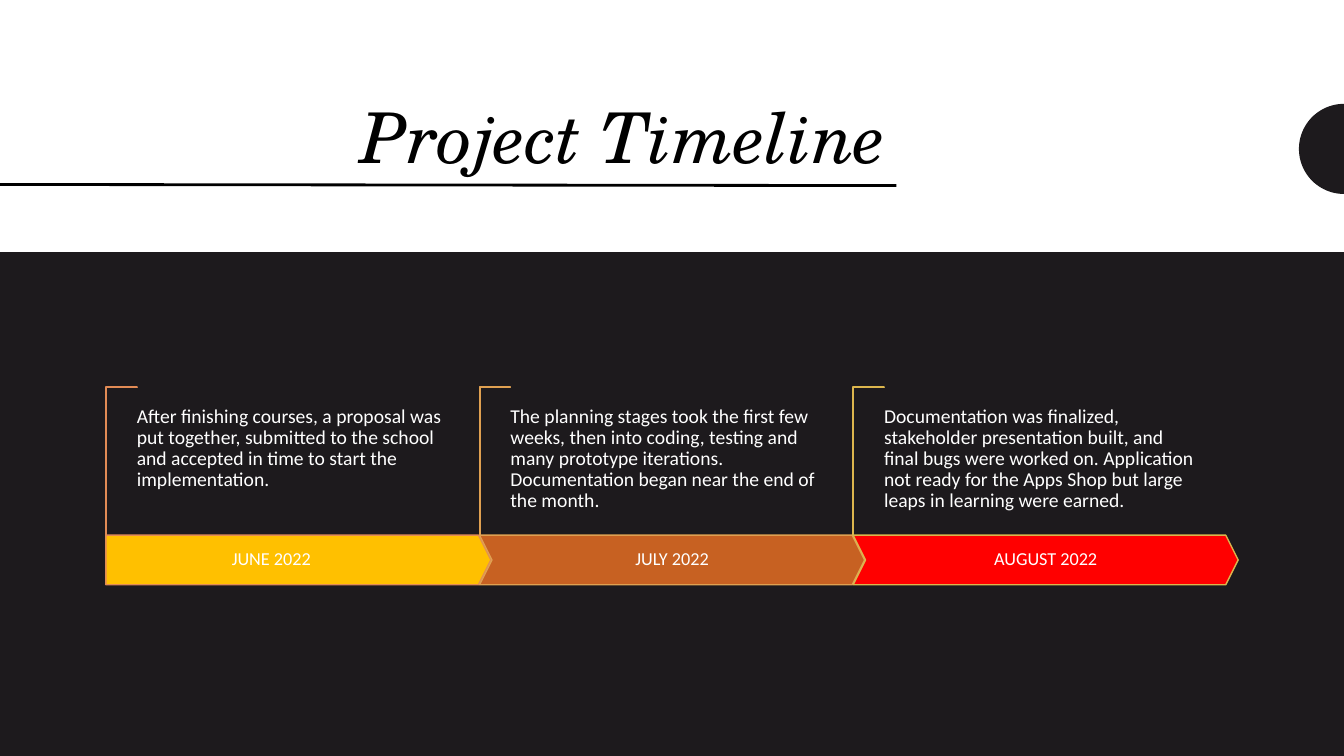
from dataclasses import dataclass
from math import cos, pi, sin

from lxml.etree import SubElement
from pptx import Presentation
from pptx.dml.color import RGBColor as Rgb
from pptx.enum.shapes import MSO_CONNECTOR as Connector, MSO_SHAPE as Shape
from pptx.enum.text import MSO_ANCHOR as Anchor, PP_ALIGN as Align
from pptx.oxml.ns import qn
from pptx.util import Inches, Pt


@dataclass(frozen=True)
class Theme:
    """Colours, fonts and type sizes of the slide."""
    dark: str = "1D1A1D"
    white: str = "FFFFFF"
    black: str = "000000"
    heading_font: str = "TeX Gyre Schola"
    body_font: str = "Calibri"
    heading_size: int = 50
    label_size: int = 13
    body_size: int = 14


def apply(target, formats):
    """Set every attribute in a dict of format values."""
    for name, value in formats.items():
        setattr(target, name, value)


class Composer:
    """Draws elements on a page measured in hundredths of its width and height."""

    def __init__(self, deck, theme):
        """Add a blank page with the theme's background."""
        self.theme = theme
        self.column = deck.slide_width / 100
        self.row = deck.slide_height / 100
        self.page = deck.slides.add_slide(deck.slide_layouts[6])
        self.paint(self.page.background.fill, theme.dark)

    def paint(self, fill, colour):
        """Make a fill solid."""
        fill.solid()
        fill.fore_color.rgb = Rgb.from_string(colour)

    def frame(self, left, top, width, height):
        """Turn grid lengths into slide lengths."""
        return (round(left * self.column), round(top * self.row),
                round(width * self.column), round(height * self.row))

    def finish(self, shape, fill, line=None):
        """Give a shape its fill and outline."""
        shape.shadow.inherit = False
        self.paint(shape.fill, fill)
        if line:
            self.paint(shape.line.fill, line)
            shape.line.width = Pt(1)
        else:
            shape.line.fill.background()

    def shape(self, kind, area, fill, line=None, adjust=()):
        """Draw a preset shape."""
        shape = self.page.shapes.add_shape(kind, *self.frame(*area))
        for index, value in enumerate(adjust):
            shape.adjustments[index] = value
        self.finish(shape, fill, line)

    def bracket(self, area, line):
        """Draw a thin corner turned to open down and to the right."""
        left, top, width, height = self.frame(*area)
        shift = (height - width) // 2
        shape = self.page.shapes.add_shape(
            Shape.from_xml("corner"), left - shift, top + shift, height, width)
        shape.rotation = 90
        for index in range(2):
            shape.adjustments[index] = 0.01
        self.finish(shape, self.theme.white, line)

    def half_disc(self, middle, radius, fill, steps=48):
        """Draw a half disc against the right edge."""
        edge, centre, _, reach = self.frame(100, middle, 0, radius)
        angles = [pi * step / steps for step in range(steps + 1)]
        points = [(round(edge - reach * sin(angle)),
                   round(centre - reach * cos(angle))) for angle in angles]
        builder = self.page.shapes.build_freeform(*points[0])
        builder.add_line_segments(points[1:], close=True)
        self.finish(builder.convert_to_shape(), fill)

    def rule(self, start, end, colour):
        """Draw a straight line."""
        line = self.page.shapes.add_connector(
            Connector.STRAIGHT, *self.frame(*start, *end))
        self.paint(line.line.fill, colour)
        line.line.width = Pt(2)
        SubElement(line._element.spPr, qn("a:effectLst"))

    def text(self, area, words, font, size, colour, align=Align.LEFT,
             anchor=Anchor.TOP, inset=0, italic=False):
        """Write one wrapped paragraph."""
        box = self.page.shapes.add_textbox(*self.frame(*area)).text_frame
        apply(box, dict(word_wrap=True, vertical_anchor=anchor,
                        margin_left=Inches(inset), margin_right=Inches(inset),
                        margin_top=Inches(inset / 2),
                        margin_bottom=Inches(inset / 2)))
        para = box.paragraphs[0]
        apply(para, dict(alignment=align, line_spacing=0.9))
        span = para.add_run()
        span.text = words
        apply(span.font, dict(name=font, size=Pt(size), italic=italic))
        span.font.color.rgb = Rgb.from_string(colour)


STAGES = [
    ("JUNE 2022", Shape.PENTAGON, "FFC000", "E28B55", 24.6,
     "After finishing courses, a proposal was put together, submitted to the "
     "school and accepted in time to start the implementation."),
    ("JULY 2022", Shape.CHEVRON, "C76122", "DFA051", 28.65,
     "The planning stages took the first few weeks, then into coding, testing "
     "and many prototype iterations. Documentation began near the end of the "
     "month."),
    ("AUGUST 2022", Shape.CHEVRON, "FF0000", "DCB64D", 28.65,
     "Documentation was finalized, stakeholder presentation built, and final "
     "bugs were worked on. Application not ready for the Apps Shop but large "
     "leaps in learning were earned."),
]


def main():
    """Build the project timeline slide."""
    deck = Presentation()
    apply(deck, dict(slide_width=Inches(13.33), slide_height=Inches(7.5)))
    theme = Theme()
    draw = Composer(deck, theme)
    margin, pitch, indent = 7.88, 27.8, 2.3
    bar_top, bar_width, bar_height = 70.8, 28.65, 6.55

    draw.shape(Shape.RECTANGLE, (0, 0, 100, 100), theme.dark)
    draw.shape(Shape.RECTANGLE, (0, 0, 100, 33.33), theme.white)
    draw.text((margin, 6.27, 58.8, 18), "Project Timeline",
              theme.heading_font, theme.heading_size, theme.black,
              Align.RIGHT, Anchor.BOTTOM, inset=0.1, italic=True)
    draw.rule((0, 24.4), (66.7, 24.55), theme.black)
    draw.half_disc(19.7, 5.96, theme.dark)

    for index, (month, kind, fill, line, label_width, story) in enumerate(STAGES):
        left = margin + index * pitch
        draw.bracket((left, 51.2, indent, 19.6), line)
        draw.shape(kind, (left, bar_top, bar_width, bar_height),
                   fill, line, adjust=[0.25])
        draw.text((left, bar_top, label_width, bar_height), month,
                  theme.body_font, theme.label_size, theme.white,
                  Align.CENTER, Anchor.MIDDLE)
        draw.text((left + indent, 53.73, 23.25, 10), story,
                  theme.body_font, theme.body_size, theme.white)

    deck.save("out.pptx")


if __name__ == "__main__":
    main()
